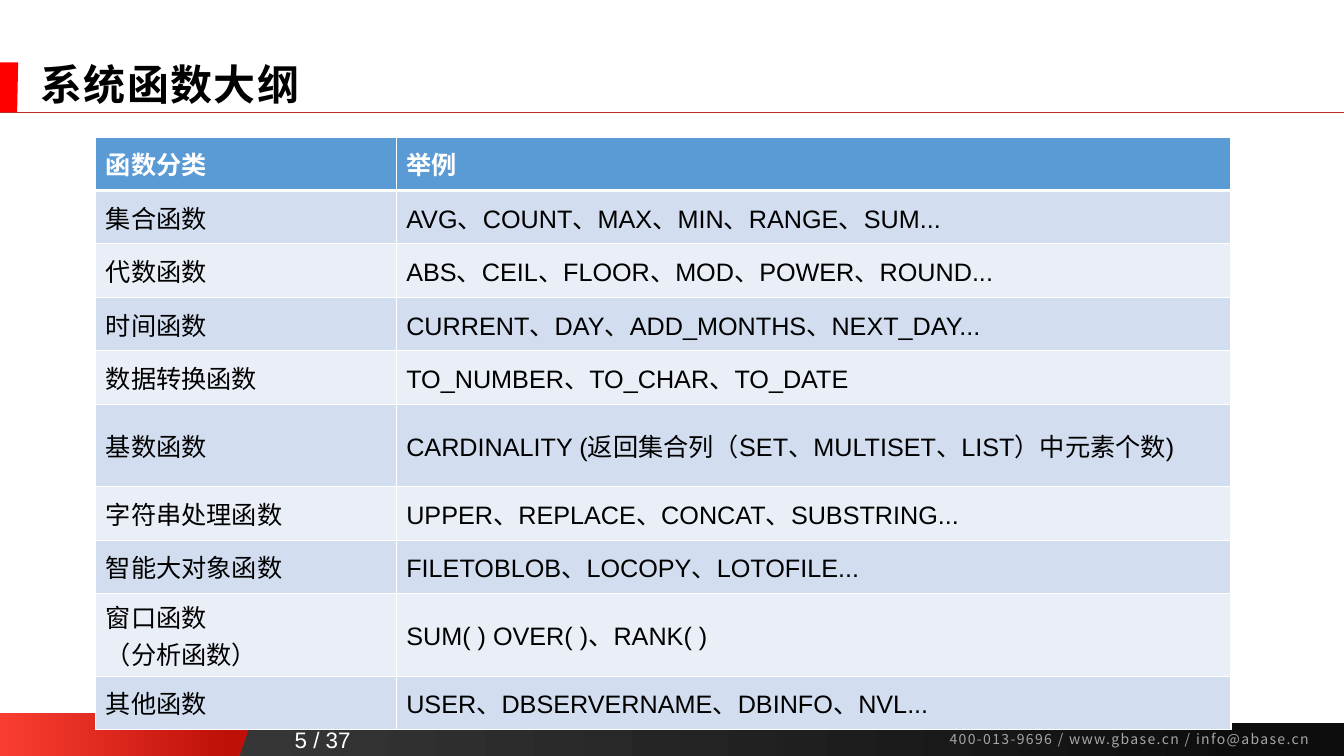
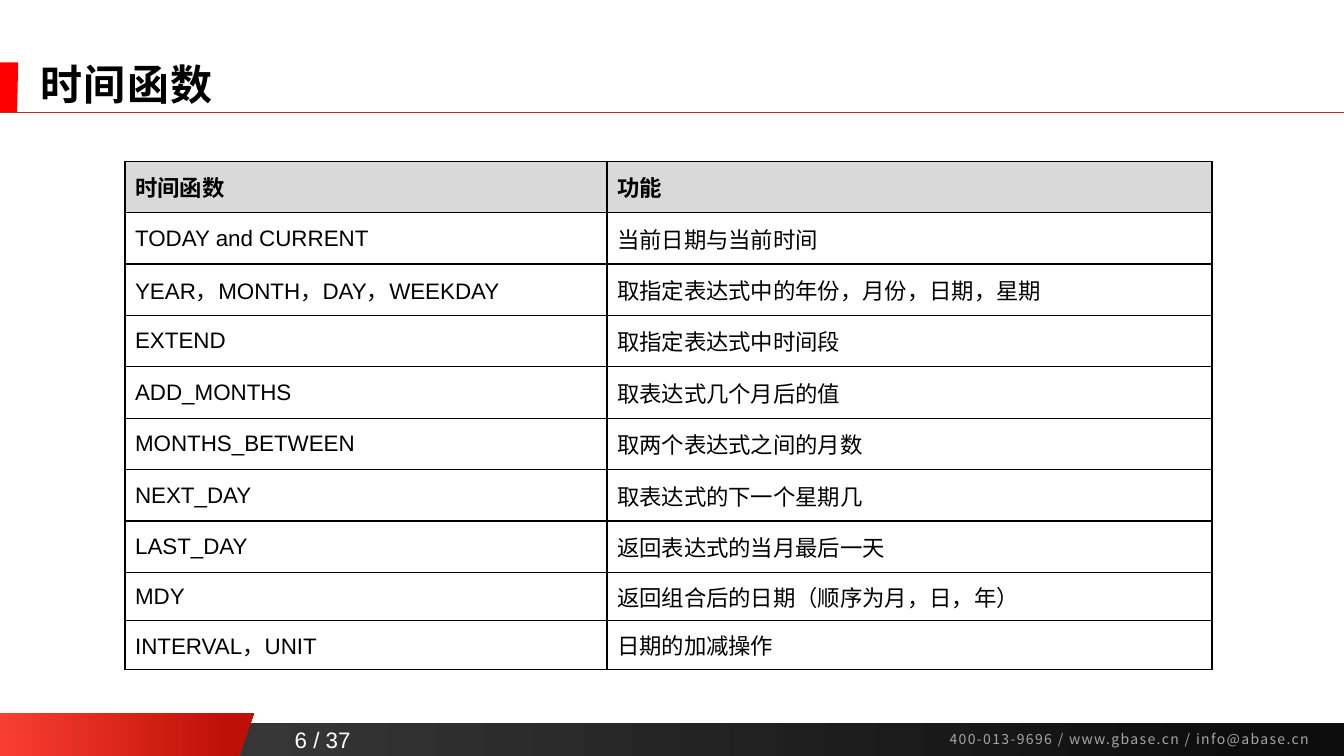
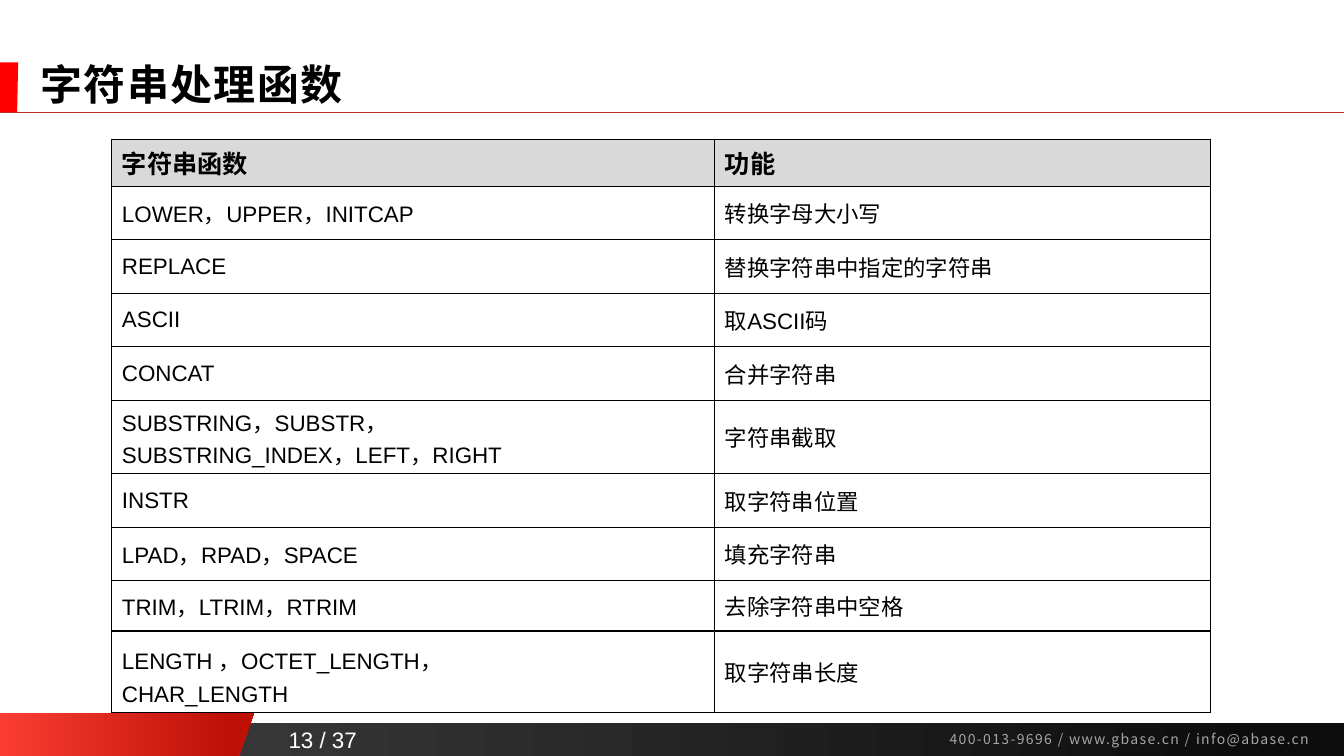
"""Build three slides of tables about database system functions."""
from dataclasses import dataclass

import pptx
import pptx.dml.color
import pptx.enum.shapes
import pptx.enum.text
import pptx.oxml.ns
import pptx.util
from lxml import etree

Inches = pptx.util.Inches
Pt = pptx.util.Pt
qn = pptx.oxml.ns.qn
ANCHOR = pptx.enum.text.MSO_ANCHOR
ALIGN = pptx.enum.text.PP_ALIGN
AUTO = pptx.enum.text.MSO_AUTO_SIZE


@dataclass(frozen=True)
class Theme:
    latin: str = "Arial"
    cjk: str = "Noto Sans CJK SC"
    black: str = "000000"
    white: str = "FFFFFF"
    contact: str = "A6A6A6"
    flag: str = "FF0000"
    rule: str = "B82E24"
    bar: tuple = (("404040", 0), ("0D0D0D", 0.94))
    wedge: tuple = (("F93D32", 0), ("BE1007", 0.91))
    title_size: int = 30
    page_size: int = 16
    contact_size: int = 10
    rule_width: float = 0.5


T = Theme()
WIDTH, HEIGHT = 13.33, 7.5
PAGES = 37
CONTACT = "400-013-9696 / www.gbase.cn / info@abase.cn"
WEDGE = [(0, 7.07), (2.52, 7.07), (2.37, 7.5), (0, 7.5)]
FLAG = [(0, 0.62), (0.18, 0.62), (0.17, 1.12), (0, 1.12)]

BLUE = dict(head_fill="5B9BD5", head_color=T.white, bands=("D2DEEF", "EAEFF7"),
            border=T.white, head_line=3, head_size=18, size=18)
GRID = dict(head_fill="D9D9D9", head_color=T.black, bands=(None,),
            border=T.black, head_line=1, head_size=16, size=16)

SLIDES = [
    dict(title="系统函数大纲", page=5, at=(0.95, 1.36), cols=(2.98, 8.28),
         heights=[0.53] * 5 + [0.82] + [0.53] * 2 + [0.82, 0.53], style=BLUE, rows=[
             ("函数分类", "举例"),
             ("集合函数", "AVG、COUNT、MAX、MIN、RANGE、SUM..."),
             ("代数函数", "ABS、CEIL、FLOOR、MOD、POWER、ROUND..."),
             ("时间函数", "CURRENT、DAY、ADD_MONTHS、NEXT_DAY..."),
             ("数据转换函数", "TO_NUMBER、TO_CHAR、TO_DATE"),
             ("基数函数", "CARDINALITY (返回集合列（SET、MULTISET、LIST）中元素个数)"),
             ("字符串处理函数", "UPPER、REPLACE、CONCAT、SUBSTRING..."),
             ("智能大对象函数", "FILETOBLOB、LOCOPY、LOTOFILE..."),
             ("窗口函数\n（分析函数）", "SUM( ) OVER( )、RANK( )"),
             ("其他函数", "USER、DBSERVERNAME、DBINFO、NVL..."),
         ]),
    dict(title="时间函数", page=6, at=(1.24, 1.6), cols=(4.78, 6),
         heights=[0.51] * 8 + [0.48] * 2, style=GRID, rows=[
             ("时间函数", "功能"),
             ("TODAY and CURRENT", "当前日期与当前时间"),
             ("YEAR，MONTH，DAY，WEEKDAY", "取指定表达式中的年份，月份，日期，星期"),
             ("EXTEND", "取指定表达式中时间段"),
             ("ADD_MONTHS", "取表达式几个月后的值"),
             ("MONTHS_BETWEEN", "取两个表达式之间的月数"),
             ("NEXT_DAY", "取表达式的下一个星期几"),
             ("LAST_DAY", "返回表达式的当月最后一天"),
             ("MDY", "返回组合后的日期（顺序为月，日，年）"),
             ("INTERVAL，UNIT", "日期的加减操作"),
         ]),
    dict(title="字符串处理函数", page=13, at=(1.11, 1.38), cols=(5.98, 4.92),
         heights=[0.47] + [0.53] * 4 + [0.73] + [0.53] * 2 + [0.5, 0.81],
         style=GRID | dict(head_size=18), spacing={(9, 0): 1.25}, rows=[
             ("字符串函数", "功能"),
             ("LOWER，UPPER，INITCAP", "转换字母大小写"),
             ("REPLACE", "替换字符串中指定的字符串"),
             ("ASCII", "取ASCII码"),
             ("CONCAT", "合并字符串"),
             ("SUBSTRING，SUBSTR，\nSUBSTRING_INDEX，LEFT，RIGHT", "字符串截取"),
             ("INSTR", "取字符串位置"),
             ("LPAD，RPAD，SPACE", "填充字符串"),
             ("TRIM，LTRIM，RTRIM", "去除字符串中空格"),
             ("LENGTH ，OCTET_LENGTH，\nCHAR_LENGTH", "取字符串长度"),
         ]),
]


def rgb(color):
    return pptx.dml.color.RGBColor.from_string(color)


def put(obj, **fmt):
    for name, value in fmt.items():
        setattr(obj, name, value)


def write(tf, text, size, color, bold=False, font=T.latin, spc=None, **para):
    for i, line in enumerate(text.split("\n")):
        p = tf.paragraphs[0] if i == 0 else tf.add_paragraph()
        put(p, **para)
        r = p.add_run()
        r.text = line
        put(r.font, size=Pt(size), bold=bold, name=font)
        r.font.color.rgb = rgb(color)
        rPr = r.font._element
        etree.SubElement(rPr, qn("a:ea"), typeface=T.cjk)
        if spc:
            rPr.set("spc", str(spc))


def paint(sp, fill):
    sp.shadow.inherit = False
    sp.line.fill.background()
    if isinstance(fill, str):
        sp.fill.solid()
        sp.fill.fore_color.rgb = rgb(fill)
        return
    sp.fill.gradient()
    sp.fill.gradient_angle = 0
    for stop, (color, position) in zip(sp.fill.gradient_stops, fill):
        stop.color.rgb = rgb(color)
        stop.position = position


def add_outline(s, points, fill):
    points = [(Inches(x), Inches(y)) for x, y in points]
    builder = s.shapes.build_freeform(*points[0])
    builder.add_line_segments(points[1:], close=True)
    paint(builder.convert_to_shape(), fill)


def add_text(s, box, text, size, color, frame, **fmt):
    tf = s.shapes.add_textbox(*map(Inches, box)).text_frame
    put(tf, **frame)
    write(tf, text, size, color, **fmt)


def add_frame(s, title, page):
    bar = s.shapes.add_shape(pptx.enum.shapes.MSO_SHAPE.RECTANGLE,
                             *map(Inches, (0, 7.17, WIDTH, 0.33)))
    paint(bar, T.bar)
    add_outline(s, WEDGE, T.wedge)
    add_outline(s, FLAG, T.flag)
    add_text(s, (9.32, 7.2, 3.99, 0.27), CONTACT, T.contact_size, T.contact,
             dict(word_wrap=True), font=T.cjk, spc=100)
    rule = s.shapes.add_connector(pptx.enum.shapes.MSO_CONNECTOR.STRAIGHT,
                                  *map(Inches, (0, 1.11, WIDTH, 1.11)))
    rule.line.color.rgb = rgb(T.rule)
    rule.line.width = Pt(T.rule_width)
    etree.SubElement(rule._element.spPr, qn("a:effectLst"))
    add_text(s, (2.74, 7.15, 0.92, 0.37), f"{page} / {PAGES}", T.page_size, T.white,
             dict(word_wrap=False, vertical_anchor=ANCHOR.BOTTOM), alignment=ALIGN.CENTER)
    sp = s.shapes.title
    put(sp, left=Inches(0.3), top=Inches(0.6), width=Inches(12.26), height=Inches(0.53))
    put(sp.text_frame, vertical_anchor=ANCHOR.MIDDLE, auto_size=AUTO.NONE, word_wrap=True)
    write(sp.text_frame, title, T.title_size, T.black, bold=True, spc=100,
          alignment=ALIGN.LEFT, line_spacing=0.9)


def add_borders(cell, color, widths):
    tcPr = cell._tc.get_or_add_tcPr()
    for side, width in widths.items():
        ln = etree.SubElement(tcPr, qn(f"a:ln{side}"), w=str(Pt(width)))
        fill = etree.SubElement(ln, qn("a:solidFill"))
        etree.SubElement(fill, qn("a:srgbClr"), val=color)


def add_grid(s, at, cols, heights, style, rows, spacing):
    box = (*at, sum(cols), sum(heights))
    table = s.shapes.add_table(len(rows), len(cols), *map(Inches, box)).table
    table.horz_banding = False
    for column, width in zip(table.columns, cols):
        column.width = Inches(width)
    for i, (row, height) in enumerate(zip(table.rows, heights)):
        row.height = Inches(height)
        head = i == 0
        bands = style["bands"]
        fill = style["head_fill"] if head else bands[(i - 1) % len(bands)]
        widths = dict(L=1, R=1, T=style["head_line"] if i == 1 else 1,
                      B=style["head_line"] if head else 1)
        for j, cell in enumerate(row.cells):
            cell.vertical_anchor = ANCHOR.MIDDLE
            add_borders(cell, style["border"], widths)
            if fill:
                cell.fill.solid()
                cell.fill.fore_color.rgb = rgb(fill)
            else:
                cell.fill.background()
            write(cell.text_frame, rows[i][j],
                  style["head_size"] if head else style["size"],
                  style["head_color"] if head else T.black,
                  bold=head, line_spacing=spacing.get((i, j)))


def main():
    prs = pptx.Presentation()
    put(prs, slide_width=Inches(WIDTH), slide_height=Inches(HEIGHT))
    for d in SLIDES:
        s = prs.slides.add_slide(prs.slide_layouts[5])
        add_frame(s, d["title"], d["page"])
        add_grid(s, d["at"], d["cols"], d["heights"], d["style"], d["rows"],
                 d.get("spacing", {}))
    prs.save("out.pptx")


if __name__ == "__main__":
    main()
